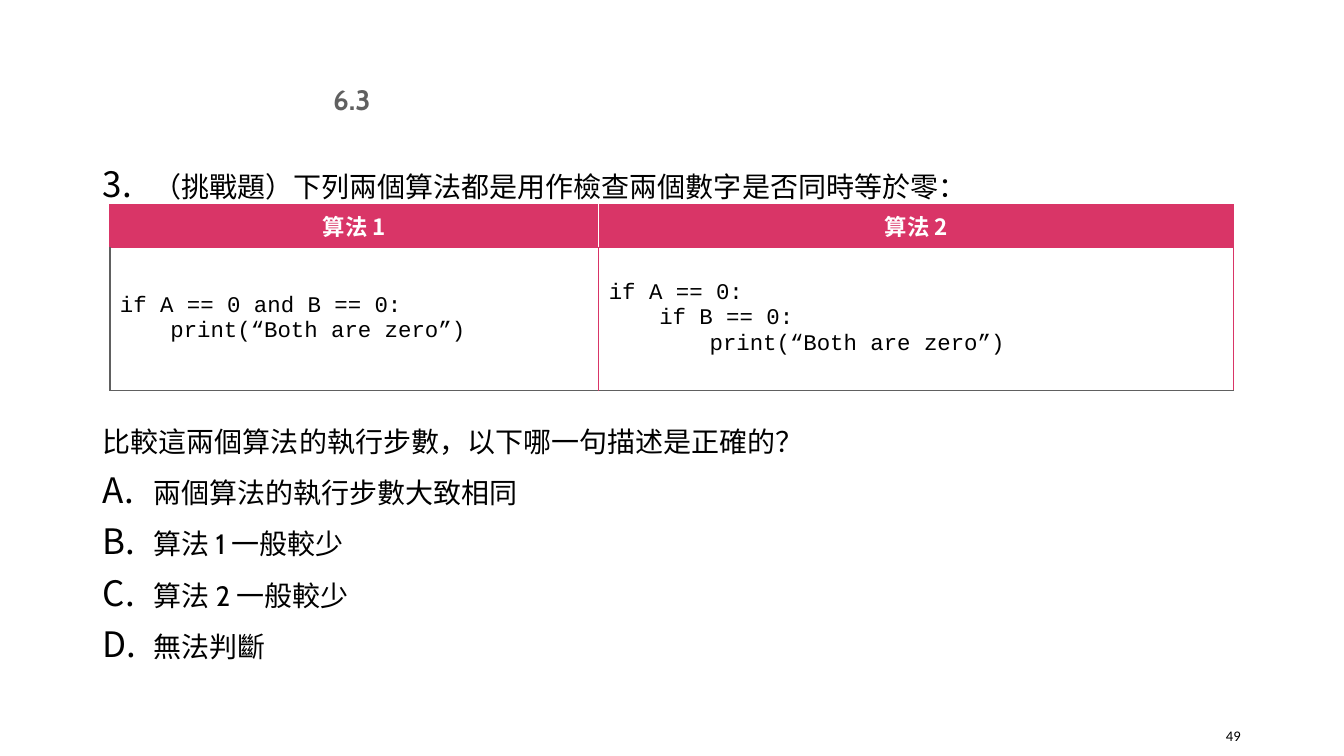
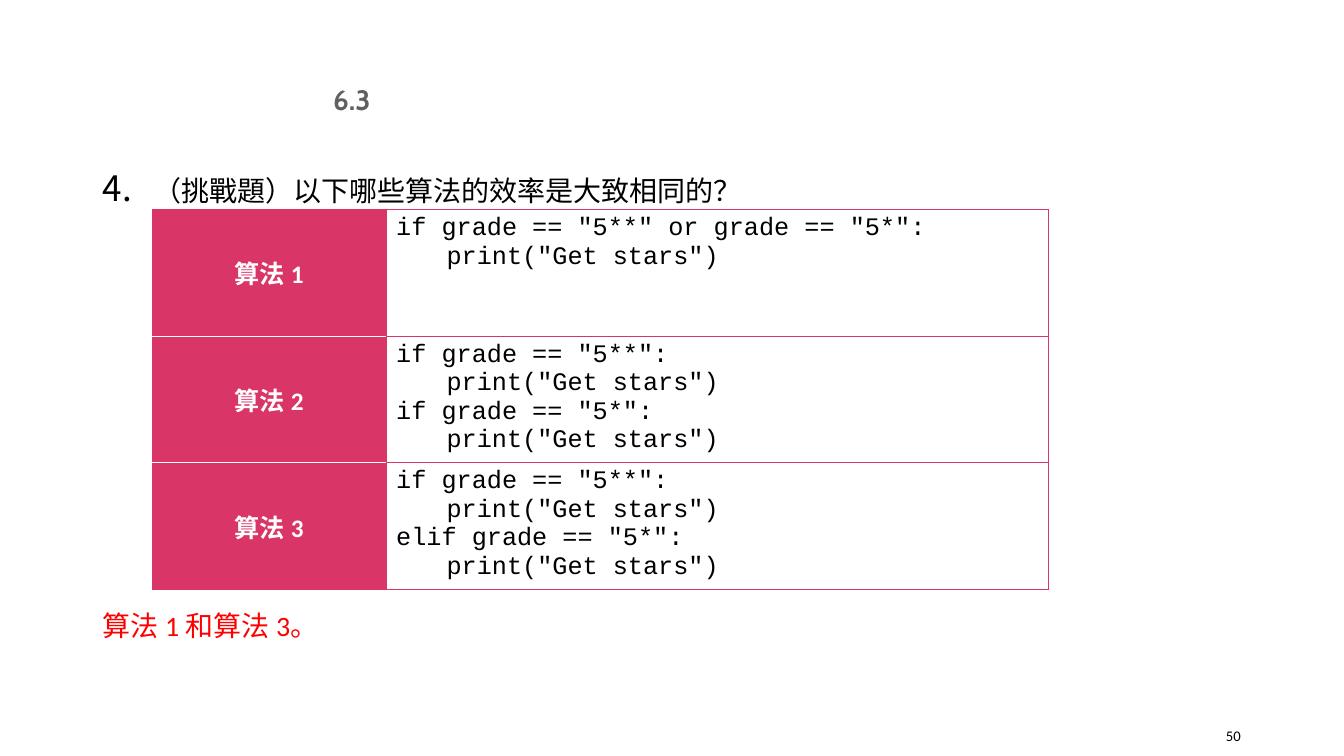
from lxml import etree
from pptx import Presentation
from pptx.dml.color import RGBColor
from pptx.enum.text import MSO_ANCHOR, MSO_AUTO_SIZE, PP_ALIGN
from pptx.oxml.ns import qn
from pptx.util import Cm, Pt

LEFT, CENTER, RIGHT = PP_ALIGN.LEFT, PP_ALIGN.CENTER, PP_ALIGN.RIGHT
TOP, MIDDLE = MSO_ANCHOR.TOP, MSO_ANCHOR.MIDDLE
NO_FIT = MSO_AUTO_SIZE.NONE
TITLE_ONLY = 5

PINK, WHITE, BLACK = "D93567", "FFFFFF", "000000"
GREY, RED = "606060", "FF0000"
CABIN, CALIBRI, CODE = "Cabin", "Calibri", "Courier New"
CJK = "Noto Sans CJK TC"


def rgb(value):
    return RGBColor.from_string(value)


class Deck:
    """Holds the shared style and the current slide."""

    body = {"name": CABIN, "size": Pt(20), "bold": False, "color": BLACK}
    title = {**body, "bold": True, "color": GREY}
    number = {**body, "name": CALIBRI, "size": Pt(10.5)}
    header = {**body, "name": CALIBRI, "bold": True, "color": WHITE}
    code = {**body, "name": CODE}

    def __init__(self):
        self.prs = Presentation()
        self.prs.slide_width, self.prs.slide_height = Cm(33.87), Cm(19.05)
        self.s = None

    def slide(self, section, page):
        """Start a slide with its section title and page number."""
        self.s = self.prs.slides.add_slide(self.prs.slide_layouts[TITLE_ONLY])
        sp = self.s.shapes.title
        sp.left, sp.top, sp.width, sp.height = Cm(7.67), Cm(2.11), Cm(2.39), Cm(0.79)
        self.fill_frame(sp.text_frame, [section], self.title, CENTER, MIDDLE)
        sp = self.s.shapes.add_textbox(Cm(29.39), Cm(18.03), Cm(2.13), Cm(1.02))
        self.fill_frame(sp.text_frame, [str(page)], self.number, RIGHT, MIDDLE)

    def add_text(self, p, text, style, align=LEFT):
        p.alignment = align
        r = p.add_run()
        r.text = text
        for key, value in style.items():
            if key == "color":
                r.font.color.rgb = rgb(value)
            else:
                setattr(r.font, key, value)
        # East Asian typeface
        ea = etree.SubElement(r.font._element, qn("a:ea"))
        ea.set("typeface", CJK)

    def fill_frame(self, tf, lines, style, align=LEFT, anchor=TOP):
        tf.word_wrap, tf.auto_size, tf.vertical_anchor = True, NO_FIT, anchor
        for i, line in enumerate(lines):
            p = tf.add_paragraph() if i else tf.paragraphs[0]
            self.add_text(p, line, style, align)

    def text(self, top, height, lines, numbering=None, start=1, plain=0,
             bullet_font=CJK, **changes):
        """Body text; lines after the first `plain` ones are numbered."""
        sp = self.s.shapes.add_textbox(Cm(2.34), Cm(top), Cm(29.21), Cm(height))
        tf = sp.text_frame
        self.fill_frame(tf, lines, {**self.body, **changes})
        for i, p in enumerate(tf.paragraphs):
            p.line_spacing = Pt(26.5)
            p.space_before = Pt(10 if i else 0)
            if numbering and i >= plain:
                self.number_paragraph(p, numbering, start, bullet_font)

    def number_paragraph(self, p, numbering, start, font):
        pPr = p._p.get_or_add_pPr()
        pPr.set("marL", str(Cm(1.27)))
        pPr.set("indent", str(-Cm(1.27)))
        for tag, attrs in (("buSzPct", {"val": "125000"}),
                           ("buFont", {"typeface": font}),
                           ("buAutoNum", {"type": numbering, "startAt": str(start)})):
            etree.SubElement(pPr, qn("a:" + tag), attrs)

    def table(self, left, top, cols, rows, data, is_header, size,
              header_font=CALIBRI, code_anchor=TOP, edge_colors=None):
        """Header cells are filled; code cells show one line a paragraph."""
        edge_colors = edge_colors or {}
        tbl = self.s.shapes.add_table(len(rows), len(cols), Cm(left), Cm(top),
                                      Cm(sum(cols)), Cm(sum(rows))).table
        tbl.first_row = tbl.horz_banding = False
        for col, width in zip(tbl.columns, cols):
            col.width = Cm(width)
        for row, height in zip(tbl.rows, rows):
            row.height = Cm(height)
        for i, line in enumerate(data):
            for j, text in enumerate(line):
                cell, head = tbl.cell(i, j), is_header(i, j)
                style = {**(self.header if head else self.code), "size": Pt(size)}
                if head:
                    style["name"] = header_font
                for k, part in enumerate(text.split("\n")):
                    tf = cell.text_frame
                    p = tf.add_paragraph() if k else tf.paragraphs[0]
                    self.add_text(p, part, style, CENTER if head else LEFT)
                cell.vertical_anchor = MIDDLE if head else code_anchor
                # White lines between two header cells, pink elsewhere
                tcPr = cell._tc.get_or_add_tcPr()
                for side, (di, dj) in {"L": (0, -1), "R": (0, 1),
                                       "T": (-1, 0), "B": (1, 0)}.items():
                    y, x = i + di, j + dj
                    inside = 0 <= y < len(rows) and 0 <= x < len(cols)
                    color = PINK
                    if inside and head and is_header(y, x):
                        color = WHITE
                    elif not inside and not head:
                        color = edge_colors.get(side, PINK)
                    self.border(tcPr, side, color)
                if head:
                    cell.fill.solid()
                    cell.fill.fore_color.rgb = rgb(PINK)
                else:
                    cell.fill.background()

    def border(self, tcPr, side, color):
        ln = etree.SubElement(tcPr, qn("a:ln" + side), {"w": str(Pt(1))})
        fill = etree.SubElement(ln, qn("a:solidFill"))
        etree.SubElement(fill, qn("a:srgbClr"), {"val": color})


def main():
    deck = Deck()

    # Question 3: compare two algorithms
    deck.slide("6.3", 49)
    deck.text(4.06, 1.1, ["（挑戰題）下列兩個算法都是用作檢查兩個數字是否同時等於零："],
              "arabicPeriod", start=3)
    deck.table(2.77, 5.16, [12.32, 16], [1.07, 3.61], [
        ["算法 1", "算法 2"],
        ["if A == 0 and B == 0:\n\tprint(“Both are zero”)",
         "if A == 0:\n\tif B == 0:\n\t\tprint(“Both are zero”)"],
    ], lambda i, j: i == 0, 16, CJK, MIDDLE, {"L": GREY, "B": GREY})
    deck.text(10.49, 7, [
        "比較這兩個算法的執行步數，以下哪一句描述是正確的？",
        "兩個算法的執行步數大致相同",
        "算法 1 一般較少",
        "算法 2 一般較少",
        "無法判斷",
    ], "alphaUcPeriod", plain=1)

    # Question 4: find algorithms of equal efficiency
    deck.slide("6.3", 50)
    deck.text(4.15, 1.1, ["（挑戰題）以下哪些算法的效率是大致相同的？"],
              "arabicPeriod", start=4, bullet_font=CALIBRI, name=CJK)
    stars = '\n\tprint("Get stars")'
    deck.table(3.84, 5.28, [5.89, 16.69], [3.19] * 3, [
        ["算法 1", 'if grade == "5**" or grade == "5*":' + stars],
        ["算法 2", f'if grade == "5**":{stars}\nif grade == "5*":{stars}'],
        ["算法 3", f'if grade == "5**":{stars}\nelif grade == "5*":{stars}'],
    ], lambda i, j: j == 0, 18)
    deck.text(15.12, 1.1, ["算法 1 和算法 3。"], name=CALIBRI, color=RED)

    deck.prs.save("out.pptx")


if __name__ == "__main__":
    main()
